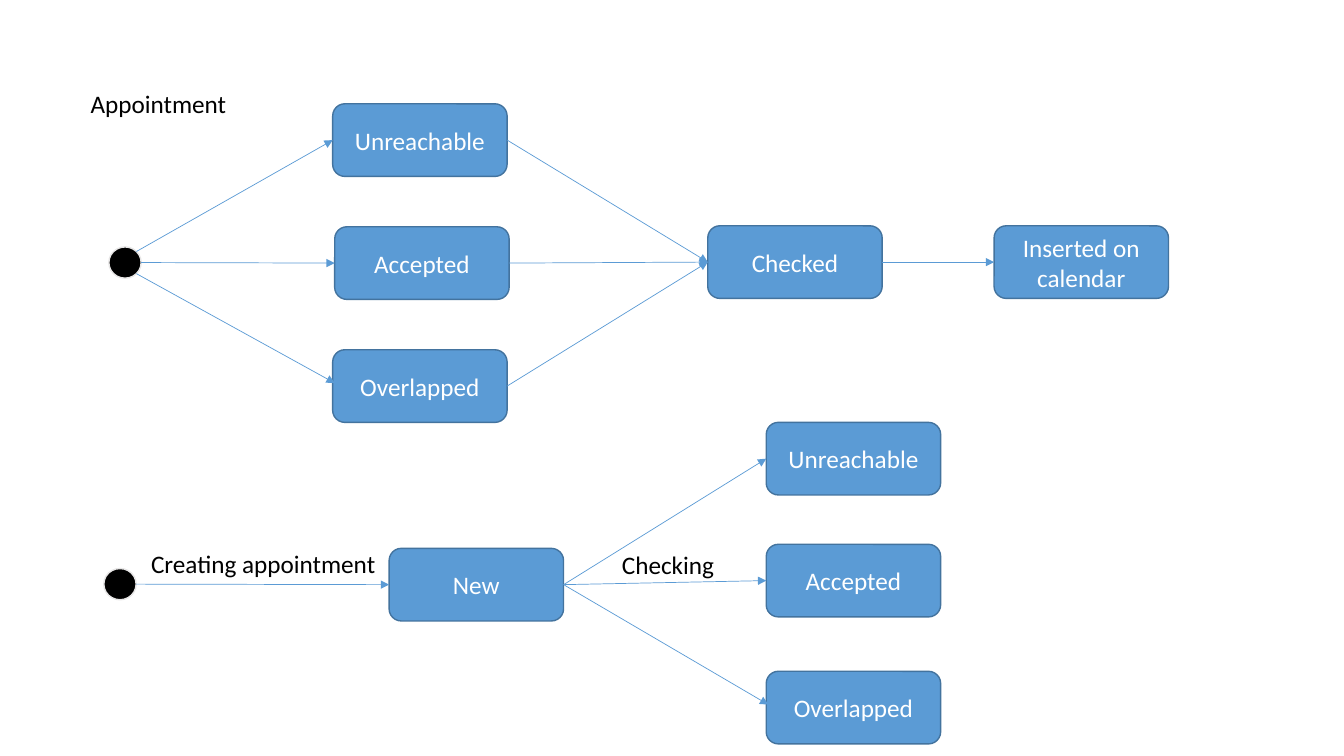
from math import cos, radians, sin
from pptx import Presentation
from pptx.dml.color import RGBColor
from pptx.enum.shapes import MSO_CONNECTOR, MSO_SHAPE
from pptx.enum.text import MSO_ANCHOR, MSO_AUTO_SIZE, PP_ALIGN
from pptx.oxml.ns import qn
from pptx.util import Inches, Pt
from lxml import etree

ROUND, OVAL = MSO_SHAPE.ROUNDED_RECTANGLE, MSO_SHAPE.OVAL
LINE = MSO_CONNECTOR.STRAIGHT
MIDDLE, CENTER = MSO_ANCHOR.MIDDLE, PP_ALIGN.CENTER
GROW = MSO_AUTO_SIZE.SHAPE_TO_FIT_TEXT
LEFT, RIGHT = 1, 3  # connection sites of a box

BLUE = RGBColor(0x5B, 0x9B, 0xD5)
EDGE = RGBColor(0x43, 0x73, 0x9E)
GREY = RGBColor(0xE7, 0xE6, 0xE6)
BLACK = RGBColor(0, 0, 0)
WHITE = RGBColor(255, 255, 255)

# Content: state (flow, text) -> left, top in inches
BOX = (1.73, 0.72)
STATES = {
    ("top", "Unreachable"): (3.3, 1.03),
    ("top", "Accepted"): (3.32, 2.25),
    ("top", "Overlapped"): (3.3, 3.47),
    ("top", "Checked"): (7.02, 2.24),
    ("top", "Inserted on calendar"): (9.86, 2.24),
    ("low", "New"): (3.86, 5.44),
    ("low", "Unreachable"): (7.6, 4.19),
    ("low", "Accepted"): (7.6, 5.4),
    ("low", "Overlapped"): (7.6, 6.66),
}
DOT = (0.32, 0.31)
DOTS = {"top": (1.08, 2.45), "low": (1.03, 5.64)}
LABELS = [
    ("Appointment", 0.8, 0.83, 1.56),
    ("Creating appointment", 1.4, 5.39, 2.45),
    ("Checking", 6.07, 5.4, 1.13),
]
# Flow, target, angle at which the arrow leaves the start dot
STARTS = [
    ("top", "Unreachable", -45),
    ("top", "Accepted", 0),
    ("top", "Overlapped", 45),
    ("low", "New", 0),
]
LINKS = [
    ("top", "Unreachable", "Checked"),
    ("top", "Accepted", "Checked"),
    ("top", "Overlapped", "Checked"),
    ("top", "Checked", "Inserted on calendar"),
    ("low", "New", "Unreachable"),
    ("low", "New", "Accepted"),
    ("low", "New", "Overlapped"),
]

deck = Presentation()
deck.slide_width, deck.slide_height = Inches(13.33), Inches(7.5)
slide = deck.slides.add_slide(deck.slide_layouts[6])
shapes = slide.shapes


def add_node(kind, spot, size, fill, edge):
    node = shapes.add_shape(kind, *map(Inches, spot + size))
    node.shadow.inherit = False
    node.fill.solid()
    node.fill.fore_color.rgb = fill
    node.line.color.rgb = edge
    node.line.width = Pt(1)
    return node


def set_text(shape, text, color):
    shape.text_frame.text = text
    font = shape.text_frame.paragraphs[0].runs[0].font
    font.name, font.size, font.color.rgb = "Calibri", Pt(18), color


def add_arrow(x, y, box, source=None):
    arrow = shapes.add_connector(LINE, x, y, box.left, box.top)
    if source is not None:
        arrow.begin_connect(source, RIGHT)
    arrow.end_connect(box, LEFT)
    if box.text_frame.text == "Overlapped":  # tip sits just inside the box
        arrow.end_x += Inches(0.02)
        arrow.end_y -= Inches(0.03)
    arrow.line.color.rgb = BLUE
    arrow.line.width = Pt(0.5)
    props = arrow.line._get_or_add_ln()
    etree.SubElement(props, qn("a:tailEnd"), type="triangle")
    etree.SubElement(props.getparent(), qn("a:effectLst"))


# State boxes
boxes = {}
for key, spot in STATES.items():
    box = boxes[key] = add_node(ROUND, spot, BOX, BLUE, EDGE)
    set_text(box, key[1], WHITE)
    box.text_frame.word_wrap = True
    box.text_frame.vertical_anchor = MIDDLE
    box.text_frame.paragraphs[0].alignment = CENTER

# Start dots
dots = {flow: add_node(OVAL, spot, DOT, BLACK, GREY)
        for flow, spot in DOTS.items()}

# Arrows out of the dots, then between boxes
for flow, goal, angle in STARTS:
    dot, turn = dots[flow], radians(angle)
    x = dot.left + int(dot.width / 2 * (1 + cos(turn)))
    y = dot.top + int(dot.height / 2 * (1 + sin(turn)))
    add_arrow(x, y, boxes[flow, goal])
for flow, origin, goal in LINKS:
    source = boxes[flow, origin]
    add_arrow(source.left, source.top, boxes[flow, goal], source)

# Labels
for text, left, top, width in LABELS:
    label = shapes.add_textbox(*map(Inches, (left, top, width, 0.4)))
    set_text(label, text, BLACK)
    label.text_frame.word_wrap = False
    label.text_frame.auto_size = GROW

deck.save("out.pptx")
